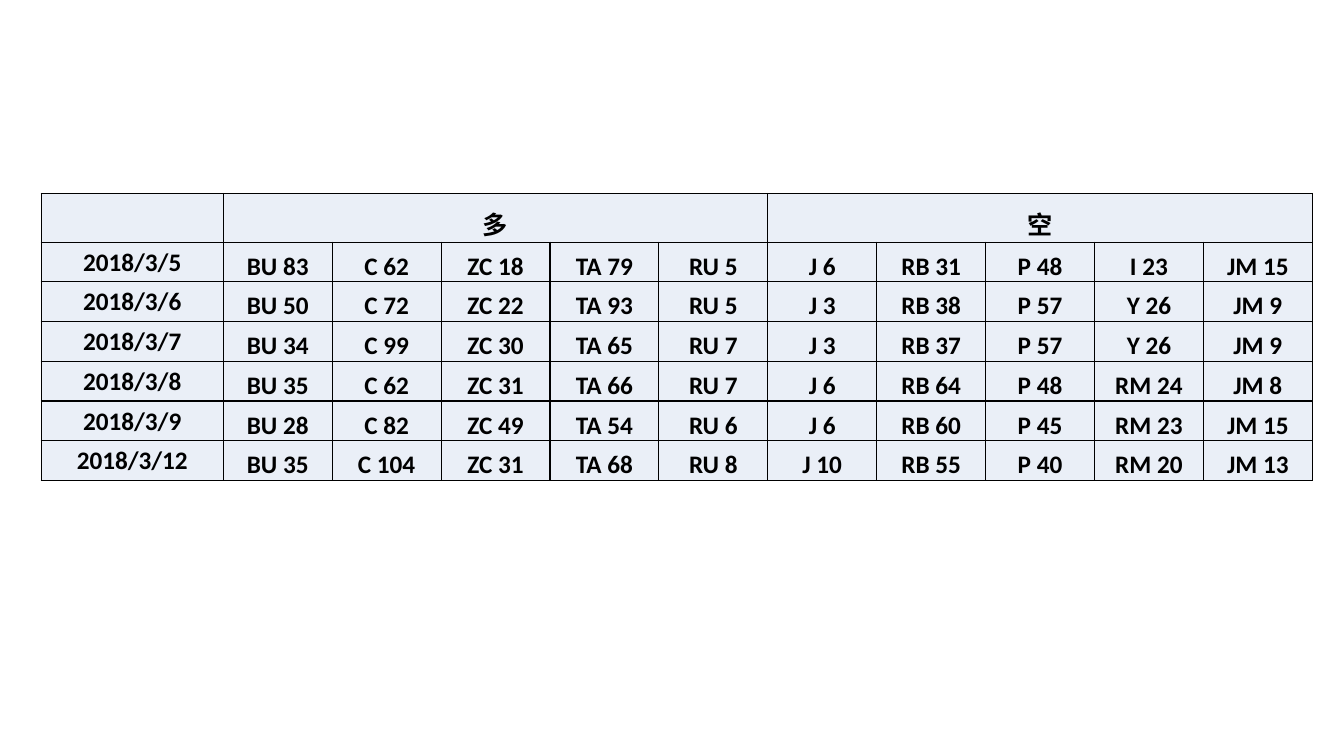
from lxml.etree import SubElement
from pptx import Presentation
from pptx.dml.color import RGBColor
from pptx.enum.text import MSO_ANCHOR, PP_ALIGN
from pptx.oxml.ns import qn
from pptx.util import Pt

GROUPS = ["多", "空"]
POSITIONS = [
    ("2018/3/5", ["BU 83", "C 62", "ZC 18", "TA 79", "RU 5"], ["J 6", "RB 31", "P 48", "I 23", "JM 15"]),
    ("2018/3/6", ["BU 50", "C 72", "ZC 22", "TA 93", "RU 5"], ["J 3", "RB 38", "P 57", "Y 26", "JM 9"]),
    ("2018/3/7", ["BU 34", "C 99", "ZC 30", "TA 65", "RU 7"], ["J 3", "RB 37", "P 57", "Y 26", "JM 9"]),
    ("2018/3/8", ["BU 35", "C 62", "ZC 31", "TA 66", "RU 7"], ["J 6", "RB 64", "P 48", "RM 24", "JM 8"]),
    ("2018/3/9", ["BU 28", "C 82", "ZC 49", "TA 54", "RU 6"], ["J 6", "RB 60", "P 45", "RM 23", "JM 15"]),
    ("2018/3/12", ["BU 35", "C 104", "ZC 31", "TA 68", "RU 8"], ["J 10", "RB 55", "P 40", "RM 20", "JM 13"]),
]
GROUP_SIZE = 5
LEFT, TOP = 29.5, 138.2
DATE_WIDTH, POSITION_WIDTH = 130, 77.8
HEADER_HEIGHT, DAY_HEIGHT = 34.8, 28.4
FILL, INK = "EAEFF7", "000000"


def color(value):
    return RGBColor.from_string(value)


def style_cell(cell):
    tcPr = cell._tc.get_or_add_tcPr()
    for side in ("a:lnL", "a:lnR", "a:lnT", "a:lnB"):
        ln = SubElement(tcPr, qn(side), w=str(Pt(1)))
        SubElement(SubElement(ln, qn("a:solidFill")), qn("a:srgbClr"), val=INK)
    cell.fill.solid()
    cell.fill.fore_color.rgb = color(FILL)
    cell.margin_left = cell.margin_right = cell.margin_top = Pt(0.75)
    cell.margin_bottom = Pt(0)


def write_cell(cell, text, anchor):
    cell.vertical_anchor = anchor
    p = cell.text_frame.paragraphs[0]
    p.alignment = PP_ALIGN.CENTER
    r = p.add_run()
    r.text = text
    r.font.name = "Calibri"
    r.font.size = Pt(18)
    r.font.bold = True
    r.font.color.rgb = color(INK)


def main():
    prs = Presentation()
    prs.slide_width, prs.slide_height = Pt(960), Pt(540)
    s = prs.slides.add_slide(prs.slide_layouts[6])

    widths = [DATE_WIDTH] + [POSITION_WIDTH] * GROUP_SIZE * len(GROUPS)
    heights = [HEADER_HEIGHT] + [DAY_HEIGHT] * len(POSITIONS)
    table = s.shapes.add_table(
        len(heights), len(widths), Pt(LEFT), Pt(TOP), Pt(sum(widths)), Pt(sum(heights))
    ).table
    for column, width in zip(table.columns, widths):
        column.width = Pt(width)
    for row, height in zip(table.rows, heights):
        row.height = Pt(height)
    for cell in table.iter_cells():
        style_cell(cell)

    for i, group in enumerate(GROUPS):
        first = 1 + i * GROUP_SIZE
        cell = table.cell(0, first)
        cell.merge(table.cell(0, first + GROUP_SIZE - 1))
        write_cell(cell, group, MSO_ANCHOR.BOTTOM)

    for i, (date, longs, shorts) in enumerate(POSITIONS, 1):
        write_cell(table.cell(i, 0), date, MSO_ANCHOR.MIDDLE)
        for j, position in enumerate(longs + shorts, 1):
            write_cell(table.cell(i, j), position, MSO_ANCHOR.BOTTOM)

    prs.save("out.pptx")


if __name__ == "__main__":
    main()
